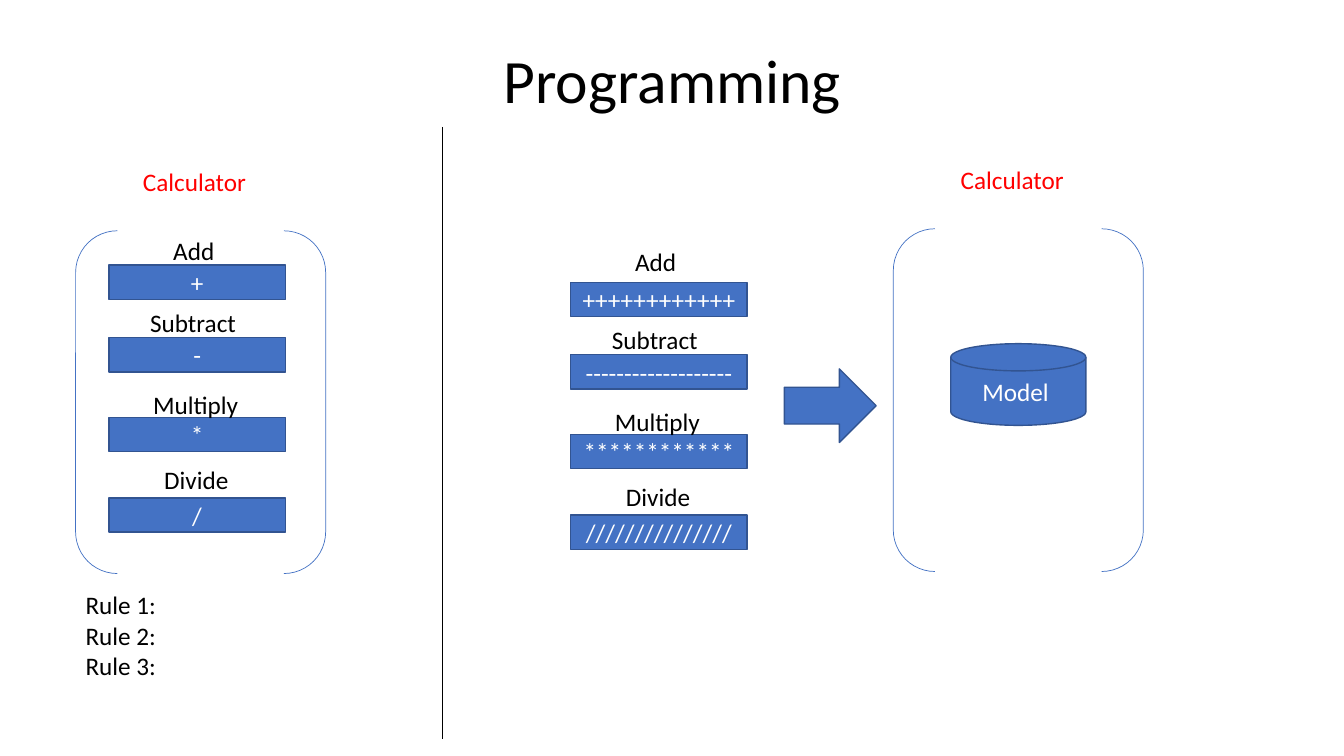
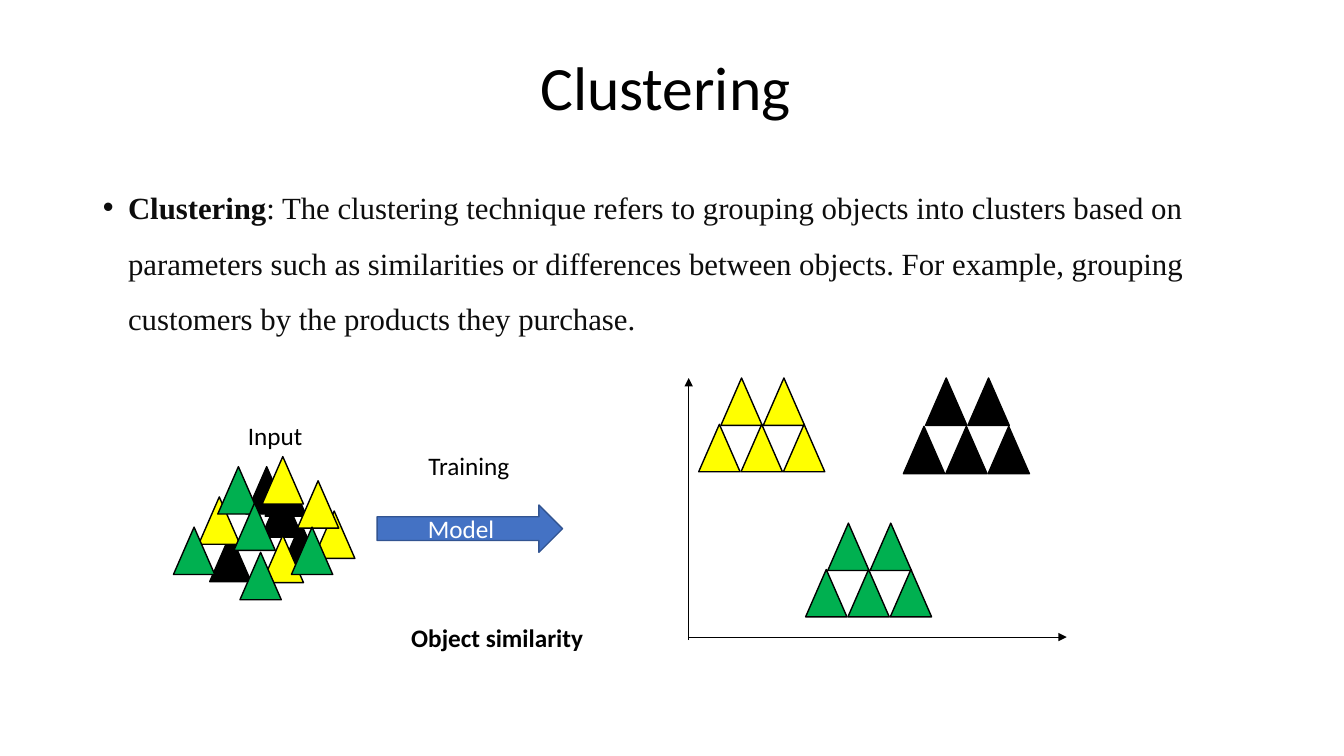
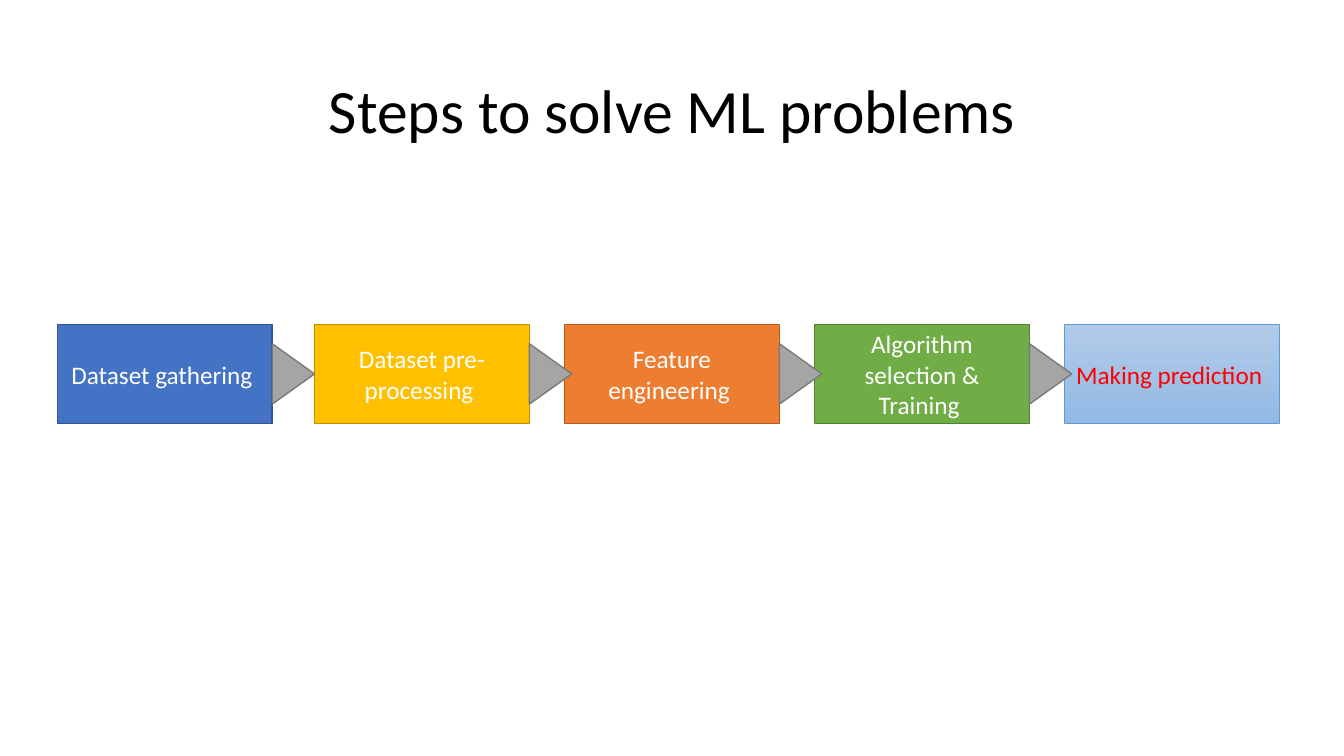
from lxml.etree import SubElement
from pptx import Presentation
from pptx.dml.color import RGBColor
from pptx.enum.shapes import MSO_CONNECTOR, MSO_SHAPE
from pptx.enum.text import MSO_ANCHOR, MSO_AUTO_SIZE, PP_ALIGN
from pptx.oxml.ns import qn
from pptx.util import Pt

PX = 9144  # EMU, 100 px to the inch
COLORS = {
    "black": "000000", "white": "FFFFFF", "red": "FF0000", "ink": "0D0D0D",
    "blue": "4472C4", "blue edge": "325491",
    "gold": "FFC000", "gold edge": "BD8E00",
    "orange": "ED7D31", "orange edge": "AF5C24",
    "leaf": "70AD47", "leaf edge": "538035",
    "gray": "A5A5A5", "gray edge": "7A7A7A",
    "sky": "B1CBE9", "sky end": "93B9E4", "sky edge": "5B9BD5",
    "yellow": "FFFF00", "green": "00B050",
}
TITLE = {"name": "Calibri", "size": Pt(44), "color": "black"}
LABEL = {"name": "Calibri", "size": Pt(18), "color": "black"}
SHAPE_TEXT = {**LABEL, "color": "white"}
BODY = {"name": "Times New Roman", "size": Pt(22), "color": "ink"}

TRIANGLE_SIZE = (41, 47)
OPERATIONS = [  # name, sign, repeated sign, label width, label top, bar top
    ("Add", "+", "+" * 12, 67, -34, 0),
    ("Subtract", "-", "-" * 19, 112, 37, 72),
    ("Multiply", "*", "*" * 12, 106, 118, 151),
    ("Divide", "/", "/" * 15, 85, 193, 231),
]
MIXED_OBJECTS = {
    "black": [(87, 33), (91, 12), (72, 10), (106, 66), (36, 77)],
    "yellow": [(25, 40), (88, 0), (88, 78), (139, 54), (123, 24)],
    "green": [(117, 70), (44, 10), (0, 70), (66, 95), (60, 46)],
}
CLUSTERS = [("yellow", 693, 375, 46), ("black", 896, 375, 48), ("green", 799, 519, 46)]
STEPS = [  # left, text, fill
    (57, "Dataset gathering ", "blue"),
    (312, "Dataset pre-processing ", "gold"),
    (560, "Feature engineering ", "orange"),
    (808, "Algorithm selection & Training ", "leaf"),
    (1056, "Making prediction ", "sky"),
]


def emu(*lengths):
    return [length * PX for length in lengths]


def rgb(color):
    return RGBColor.from_string(COLORS[color])


def add_run(paragraph, text, style):
    run = paragraph.add_run()
    run.text = text
    for attribute, value in style.items():
        if attribute == "color":
            run.font.color.rgb = rgb(value)
        else:
            setattr(run.font, attribute, value)


def place(shape, *box):
    for attribute, value in zip(("left", "top", "width", "height"), emu(*box)):
        setattr(shape, attribute, value)


def add_titled_slide(presentation, layout, title, height):
    slide = presentation.slides.add_slide(presentation.slide_layouts[layout])
    shape = slide.shapes.title
    place(shape, 92, 40, 1150, height)
    frame = shape.text_frame
    frame.auto_size = MSO_AUTO_SIZE.NONE
    frame.vertical_anchor = MSO_ANCHOR.MIDDLE
    paragraph = frame.paragraphs[0]
    paragraph.alignment = PP_ALIGN.CENTER
    paragraph.line_spacing = 0.9
    add_run(paragraph, title, TITLE)
    return slide


def add_figure(slide, kind, box, fill=None, edge="blue edge", weight=1, text="", color="white"):
    """Add a preset shape, unfilled when fill is None, with optional centred text."""
    shape = slide.shapes.add_shape(kind, *emu(*box))
    shape.shadow.inherit = False
    if fill:
        shape.fill.solid()
        shape.fill.fore_color.rgb = rgb(fill)
    else:
        shape.fill.background()
    shape.line.color.rgb = rgb(edge)
    shape.line.width = Pt(weight)
    if text:
        frame = shape.text_frame
        frame.word_wrap = True
        frame.vertical_anchor = MSO_ANCHOR.MIDDLE
        paragraph = frame.paragraphs[0]
        paragraph.alignment = PP_ALIGN.CENTER
        add_run(paragraph, text, {**SHAPE_TEXT, "color": color})
    return shape


def add_label(slide, box, *lines, **changes):
    frame = slide.shapes.add_textbox(*emu(*box)).text_frame
    frame.word_wrap = False
    frame.auto_size = MSO_AUTO_SIZE.SHAPE_TO_FIT_TEXT
    for index, line in enumerate(lines):
        paragraph = frame.add_paragraph() if index else frame.paragraphs[0]
        add_run(paragraph, line, {**LABEL, **changes})


def add_line(slide, start, end, arrow=False):
    line = slide.shapes.add_connector(MSO_CONNECTOR.STRAIGHT, *emu(*start, *end))
    line.line.color.rgb = rgb("black")
    line.line.width = Pt(0.5)
    if arrow:
        SubElement(line.line._get_or_add_ln(), qn("a:tailEnd"), type="triangle")
    SubElement(line._element.spPr, qn("a:effectLst"))


def add_calculator(slide, left, top):
    """Add the brackets with the red heading above them."""
    add_figure(slide, MSO_SHAPE.DOUBLE_BRACKET, (left, top, 248, 340), edge="blue", weight=0.5)
    add_label(slide, (left + 57, top - 69, 124, 40), "Calculator", color="red")


def add_operations(slide, left, top, repeated=False, first_label_rise=0):
    width = 175
    for index, (name, sign, signs, label_width, label_top, bar_top) in enumerate(OPERATIONS):
        add_figure(slide, MSO_SHAPE.RECTANGLE, (left, top + bar_top, width, 34), "blue",
                   text=signs if repeated else sign)
        rise = 0 if index else first_label_rise
        label_left = left + (width - label_width) // 2
        add_label(slide, (label_left, top + label_top - rise, label_width, 40), name)


def add_triangle(slide, left, top, color):
    add_figure(slide, MSO_SHAPE.ISOSCELES_TRIANGLE, (left, top, *TRIANGLE_SIZE), color, "black")


def add_mixed_objects(slide, left, top):
    for color, offsets in MIXED_OBJECTS.items():
        for across, down in offsets:
            add_triangle(slide, left + across, top + down, color)


def add_cluster(slide, color, left, top, row_height):
    """Add two triangles above three."""
    for row, (count, indent) in enumerate([(2, 22), (3, 0)]):
        for column in range(count):
            add_triangle(slide, left + indent + column * 42, top + row * row_height, color)


def add_definition(slide, term, text):
    body = slide.placeholders[1]
    place(body, 92, 164, 1150, 511)
    frame = body.text_frame
    frame.auto_size = MSO_AUTO_SIZE.NONE
    paragraph = frame.paragraphs[0]
    paragraph.line_spacing = 1.5
    paragraph.space_before = Pt(0)
    properties = paragraph._p.get_or_add_pPr()
    for attribute, length in (("marL", 25), ("indent", -25)):
        properties.set(attribute, str(length * PX))
    SubElement(properties, qn("a:buFont"), typeface="Arial")
    SubElement(properties, qn("a:buChar"), char="•")
    add_run(paragraph, term, {**BODY, "bold": True})
    add_run(paragraph, text, BODY)


def add_axes(slide, left, top, width, height):
    bottom = top + height
    add_line(slide, (left, bottom + 3), (left, top), arrow=True)
    add_line(slide, (left, bottom), (left + width, bottom), arrow=True)


def add_process(slide, top):
    for left, text, color in STEPS:
        final = color == "sky"
        step = add_figure(slide, MSO_SHAPE.RECTANGLE, (left, top, 213, 98), color, color + " edge",
                          0.5 if final else 1, text, "red" if final else "white")
        if final:
            step.fill.gradient()
            step.fill.gradient_angle = 270
            for stop, stop_color in zip(step.fill.gradient_stops, ("sky", "sky end")):
                stop.color.rgb = rgb(stop_color)
    for left, _, _ in STEPS[:-1]:
        pointer = add_figure(slide, MSO_SHAPE.ISOSCELES_TRIANGLE, (left + 204, top + 28, 60, 42),
                             "gray", "gray edge")
        pointer.rotation = 90


def build_programming(presentation):
    slide = add_titled_slide(presentation, 5, "Programming", 86)
    add_calculator(slide, 75, 229)
    add_operations(slide, 108, 263)
    add_label(slide, (75, 580, 97, 101), "Rule 1:", "Rule 2:", "Rule 3:")
    add_line(slide, (439, 126), (439, 733))
    add_operations(slide, 566, 280, repeated=True, first_label_rise=7)
    add_figure(slide, MSO_SHAPE.RIGHT_ARROW, (778, 366, 91, 73), "blue")
    add_calculator(slide, 886, 227)
    add_figure(slide, MSO_SHAPE.FLOWCHART_MAGNETIC_DISK, (943, 341, 134, 81), "blue",
               text="Model ")


def build_clustering(presentation):
    slide = add_titled_slide(presentation, 1, "Clustering ", 99)
    add_definition(slide, "Clustering",
                   ": The clustering technique refers to grouping objects into clusters based on "
                   "parameters such as similarities or differences between objects. For example, "
                   "grouping customers by the products they purchase.")
    add_label(slide, (236, 412, 75, 40), "Input")
    add_mixed_objects(slide, 172, 453)
    add_label(slide, (415, 442, 101, 40), "Training")
    add_figure(slide, MSO_SHAPE.RIGHT_ARROW, (374, 501, 184, 47), "blue", text="Model ")
    add_label(slide, (398, 612, 192, 40), "Object similarity", bold=True)
    add_axes(slide, 683, 375, 375, 257)
    for cluster in CLUSTERS:
        add_cluster(slide, *cluster)


def build_steps(presentation):
    slide = add_titled_slide(presentation, 5, "Steps to solve ML problems", 145)
    add_process(slide, 322)


def main():
    presentation = Presentation()
    presentation.slide_width, presentation.slide_height = emu(1333, 750)
    for build in (build_programming, build_clustering, build_steps):
        build(presentation)
    presentation.save("out.pptx")


if __name__ == "__main__":
    main()
